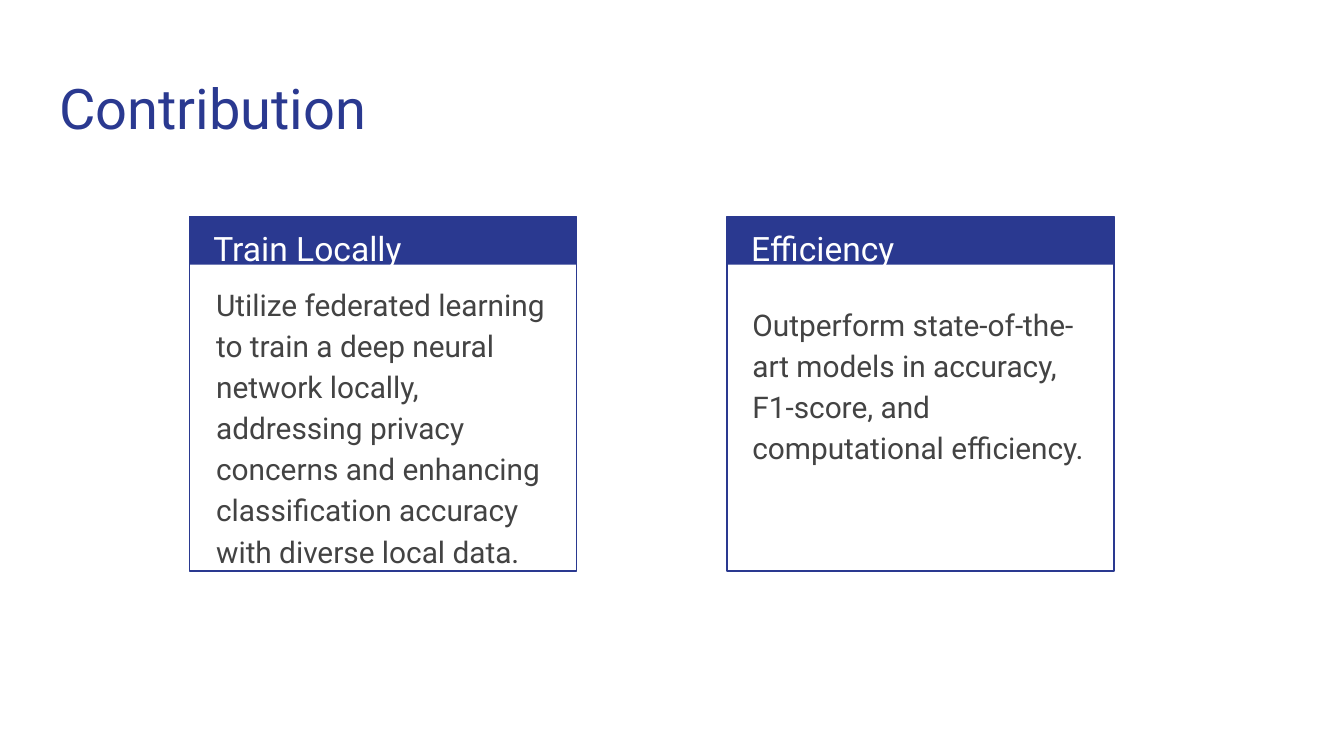
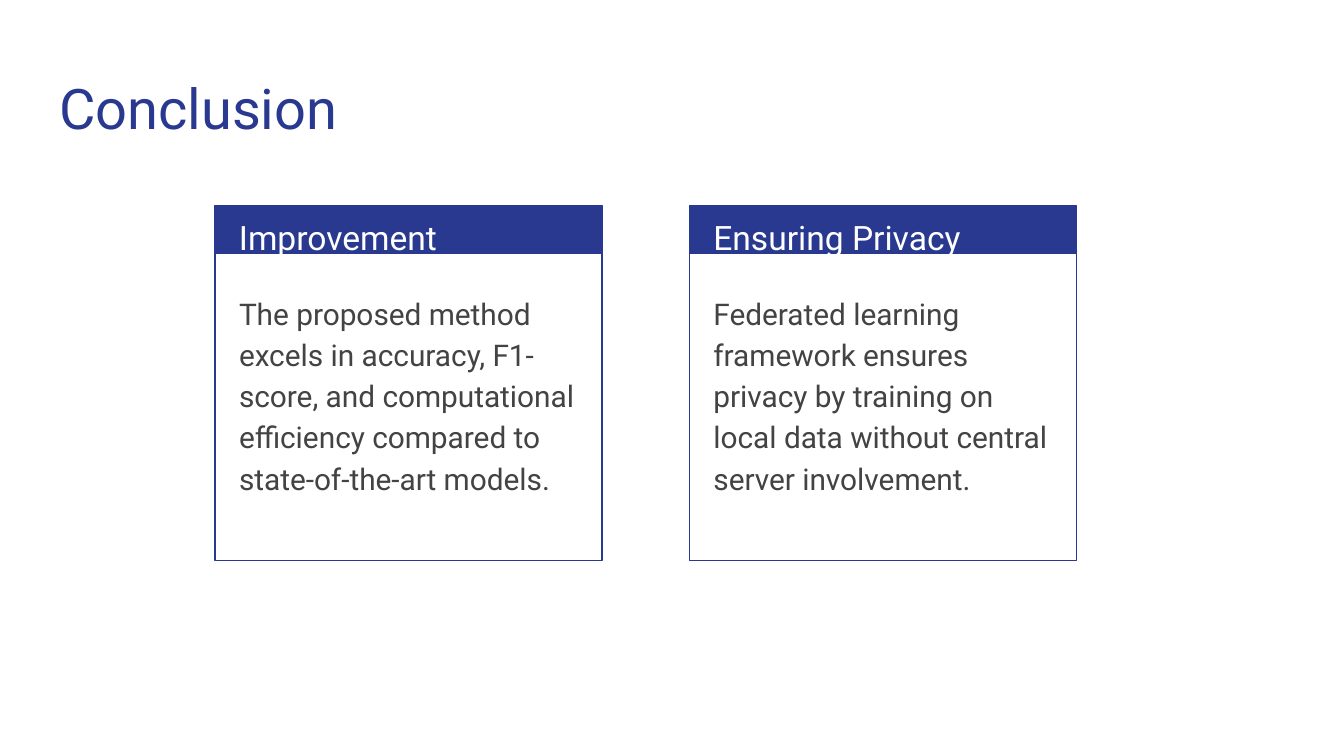
"""Build two slides that each set a title above a pair of headed cards."""
from dataclasses import dataclass

from pptx import Presentation
from pptx.dml.color import RGBColor
from pptx.enum.shapes import MSO_SHAPE as Preset
from pptx.enum.text import MSO_ANCHOR as Anchor, MSO_AUTO_SIZE as AutoSize, PP_ALIGN as Align
from pptx.util import Inches, Pt

COLORS = {"navy": "2A3990", "white": "FFFFFF", "text": "434343"}
FONT = "Roboto"
TITLE_ONLY = 5
SLIDE_WIDTH = 10
SLIDE_HEIGHT = SLIDE_WIDTH * 9 / 16
CARD_WIDTH, CARD_HEIGHT, BAND_HEIGHT = 2.88, 2.64, 0.36

FRAME_FORMAT = {
    "word_wrap": True,
    "auto_size": AutoSize.NONE,
    "vertical_anchor": Anchor.TOP,
    "margin_left": Inches(0.1),
    "margin_right": Inches(0.1),
    "margin_top": Inches(0.1),
    "margin_bottom": Inches(0.1),
}


@dataclass(frozen=True)
class TextStyle:
    size: int
    color: str
    line_spacing: float = 1.15
    space_after: int = 0


@dataclass(frozen=True)
class Card:
    left: float
    heading: str
    body: str
    body_left: float
    body_top: float
    body_height: float


@dataclass(frozen=True)
class CardSlide:
    title: str
    card_top: float
    cards: tuple[Card, ...]


TITLE = TextStyle(30, "navy", line_spacing=1.0)
HEADING = TextStyle(18, "white")
BODY = TextStyle(16, "text", space_after=16)

SLIDES = (
    CardSlide("Contribution", 1.61, (
        Card(1.41, "Train Locally",
             "Utilize federated learning to train a deep neural network locally, "
             "addressing privacy concerns and enhancing classification accuracy "
             "with diverse local data.", 1.51, 1.99, 1.35),
        Card(5.41, "Efficiency",
             "Outperform state-of-the-art models in accuracy, F1-score, and "
             "computational efficiency.", 5.5, 2.14, 1.04),
    )),
    CardSlide("Conclusion", 1.53, (
        Card(1.6, "Improvement",
             "The proposed method excels in accuracy, F1-score, and computational "
             "efficiency compared to state-of-the-art models.", 1.68, 2.06, 1.35),
        Card(5.13, "Ensuring Privacy",
             "Federated learning framework ensures privacy by training on local "
             "data without central server involvement.", 5.21, 2.06, 1.04),
    )),
)


def color(name: str) -> RGBColor:
    return RGBColor.from_string(COLORS[name])


def apply(target, values: dict) -> None:
    for name, value in values.items():
        setattr(target, name, value)


def write(shape, text: str, style: TextStyle) -> None:
    frame = shape.text_frame
    apply(frame, FRAME_FORMAT)
    paragraph = frame.paragraphs[0]
    apply(paragraph, {
        "alignment": Align.LEFT,
        "line_spacing": style.line_spacing,
        "space_before": Pt(0),
        "space_after": Pt(style.space_after),
    })
    run = paragraph.add_run()
    run.text = text
    apply(run.font, {"name": FONT, "size": Pt(style.size)})
    run.font.color.rgb = color(style.color)


def add_text(slide, left: float, top: float, width: float, height: float,
             text: str, style: TextStyle) -> None:
    box = slide.shapes.add_textbox(*map(Inches, (left, top, width, height)))
    write(box, text, style)


def add_rectangle(group, left: float, top: float, height: float):
    shape = group.shapes.add_shape(
        Preset.RECTANGLE, *map(Inches, (left, top, CARD_WIDTH, height)))
    shape.shadow.inherit = False
    return shape


def add_card(slide, card: Card, top: float) -> None:
    group = slide.shapes.add_group_shape()
    band = add_rectangle(group, card.left, top, BAND_HEIGHT)
    band.fill.solid()
    band.fill.fore_color.rgb = color("navy")
    band.line.fill.background()
    border = add_rectangle(group, card.left, top, CARD_HEIGHT)
    border.fill.background()
    border.line.color.rgb = color("navy")
    border.line.width = Pt(0.75)
    add_text(slide, card.left + 0.08, top - 0.06, 2.73, 0.5, card.heading, HEADING)
    add_text(slide, card.body_left, card.body_top, 2.71, card.body_height,
             card.body, BODY)


def add_slide(presentation, content: CardSlide) -> None:
    slide = presentation.slides.add_slide(presentation.slide_layouts[TITLE_ONLY])
    background = slide.background.fill
    background.solid()
    background.fore_color.rgb = color("white")
    title = slide.shapes.title
    apply(title, {"left": Inches(0.34), "top": Inches(0.45),
                  "width": Inches(9.32), "height": Inches(0.66)})
    write(title, content.title, TITLE)
    for card in content.cards:
        add_card(slide, card, content.card_top)


def main() -> None:
    presentation = Presentation()
    apply(presentation, {"slide_width": Inches(SLIDE_WIDTH),
                         "slide_height": Inches(SLIDE_HEIGHT)})
    for content in SLIDES:
        add_slide(presentation, content)
    presentation.save("out.pptx")


if __name__ == "__main__":
    main()
